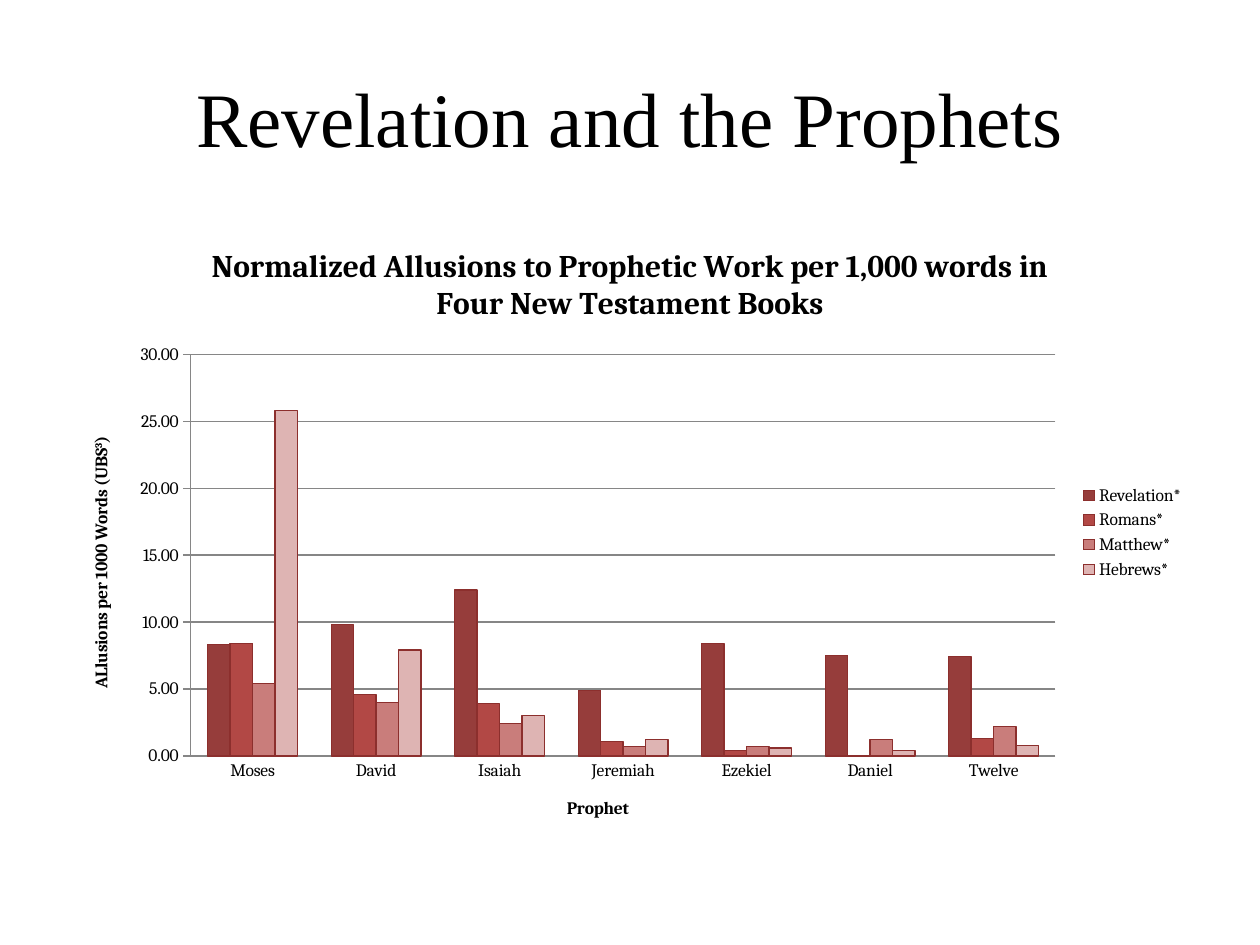
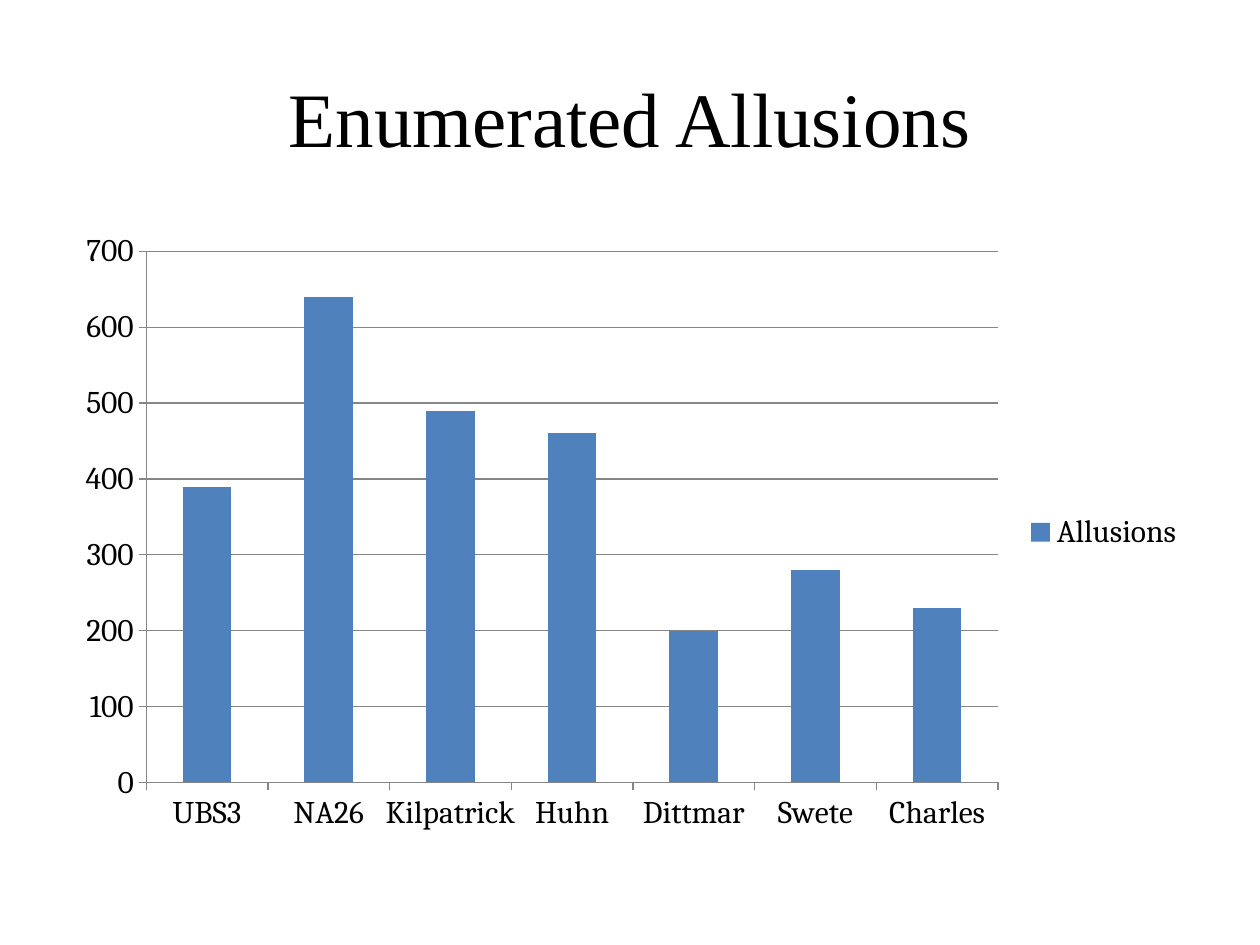
from pptx import Presentation
from pptx.chart.data import CategoryChartData
from pptx.dml.color import RGBColor
from pptx.enum.chart import XL_CHART_TYPE, XL_LEGEND_POSITION, XL_TICK_MARK
from pptx.enum.text import MSO_ANCHOR, PP_ALIGN
from pptx.util import Inches, Pt

CLUSTERED = XL_CHART_TYPE.COLUMN_CLUSTERED
RIGHT = XL_LEGEND_POSITION.RIGHT
NO_TICK, TICK_OUT = XL_TICK_MARK.NONE, XL_TICK_MARK.OUTSIDE
MIDDLE, CENTER = MSO_ANCHOR.MIDDLE, PP_ALIGN.CENTER

BLACK = RGBColor(0x00, 0x00, 0x00)
AXIS_GRAY = RGBColor(0x86, 0x86, 0x86)
BLUE = RGBColor(0x4F, 0x81, 0xBD)
EDGE_RED = RGBColor(0x8C, 0x2F, 0x2D)
REDS = [RGBColor(0x96, 0x3D, 0x3B), RGBColor(0xB2, 0x48, 0x45),
        RGBColor(0xC9, 0x7D, 0x7B), RGBColor(0xDE, 0xB4, 0xB3)]
HEADING_FONT, CHART_FONT = "Times New Roman", "Cambria"

WIDTH, HEIGHT = Inches(10), Inches(7.5)
MARGIN = int(WIDTH * 0.05)
CONTENT_WIDTH = WIDTH - 2 * MARGIN

CHART_SLIDES = [
    dict(heading="Revelation and the Prophets",
         chart_title="Normalized Allusions to Prophetic Work per 1,000 words in "
                     "Four New Testament Books",
         category_title=["Prophet"],
         value_title=["ALlusions per 1000 Words (UBS", "3", ")"],
         categories=["Moses", "David", "Isaiah", "Jeremiah", "Ezekiel", "Daniel", "Twelve"],
         series={"Revelation*": [8.3, 9.8, 12.4, 4.9, 8.4, 7.5, 7.4],
                 "Romans*": [8.4, 4.6, 3.9, 1.1, 0.4, 0, 1.3],
                 "Matthew*": [5.4, 4, 2.4, 0.7, 0.7, 1.2, 2.2],
                 "Hebrews*": [25.8, 7.9, 3, 1.2, 0.6, 0.4, 0.8]},
         colors=REDS, edge=EDGE_RED, size=10, top=30, step=5,
         number_format="0.00", tick=NO_TICK),
    dict(heading="Enumerated Allusions",
         chart_title=None, category_title=None, value_title=None,
         categories=["UBS3", "NA26", "Kilpatrick", "Huhn", "Dittmar", "Swete", "Charles"],
         series={"Allusions": [390, 640, 490, 460, 200, 280, 230]},
         colors=[BLUE], edge=None, size=18, top=700, step=100,
         number_format="General", tick=TICK_OUT),
]


def write_title(title, parts, size):
    """Write a bold chart or axis title; every second part is superscript."""
    paragraph = title.text_frame.paragraphs[0]
    for index, part in enumerate(parts):
        run = paragraph.add_run()
        run.text = part
        run.font.name, run.font.size, run.font.bold = CHART_FONT, Pt(size), True
        run.font.color.rgb = BLACK
        if index % 2:
            run.font._element.set("baseline", "30000")


prs = Presentation()
prs.slide_width, prs.slide_height = WIDTH, HEIGHT
blank = prs.slide_layouts[6]

for content in CHART_SLIDES:
    slide = prs.slides.add_slide(blank)

    heading = slide.shapes.add_textbox(
        MARGIN, int(HEIGHT * 0.04), CONTENT_WIDTH, Inches(1.25)).text_frame
    heading.word_wrap = True
    heading.vertical_anchor = MIDDLE
    heading.paragraphs[0].alignment = CENTER
    run = heading.paragraphs[0].add_run()
    run.text = content["heading"]
    run.font.name, run.font.size = HEADING_FONT, Pt(44)
    run.font.color.rgb = BLACK

    data = CategoryChartData(number_format=content["number_format"])
    data.categories = content["categories"]
    for name, values in content["series"].items():
        data.add_series(name, values)
    chart = slide.shapes.add_chart(
        CLUSTERED, MARGIN, Inches(1.75), CONTENT_WIDTH, int(HEIGHT * 0.66), data).chart
    chart.font.name, chart.font.size = CHART_FONT, Pt(content["size"])
    chart.font.color.rgb = BLACK

    chart.has_title = content["chart_title"] is not None
    if chart.has_title:
        write_title(chart.chart_title, [content["chart_title"]], 18)
        chart.chart_title.include_in_layout = False
    chart.has_legend = True
    chart.legend.position = RIGHT
    chart.legend.include_in_layout = False

    bars = chart.plots[0]
    bars.gap_width, bars.overlap = 150, 0
    bars.vary_by_categories = False
    for series, color in zip(bars.series, content["colors"]):
        series.invert_if_negative = False
        series.format.fill.solid()
        series.format.fill.fore_color.rgb = color
        if content["edge"]:
            series.format.line.color.rgb = content["edge"]
            series.format.line.width = Pt(0.75)

    categories, values = chart.category_axis, chart.value_axis
    categories.major_tick_mark, values.major_tick_mark = content["tick"], TICK_OUT
    values.minimum_scale, values.maximum_scale = 0, content["top"]
    values.major_unit = content["step"]
    values.has_major_gridlines = True
    values.tick_labels.number_format = content["number_format"]
    values.tick_labels.number_format_is_linked = False
    for lines in (categories, values, values.major_gridlines):
        lines.format.line.color.rgb = AXIS_GRAY
        lines.format.line.width = Pt(0.75)
    for axis, parts in ((categories, content["category_title"]),
                        (values, content["value_title"])):
        axis.minor_tick_mark = NO_TICK
        if parts:
            write_title(axis.axis_title, parts, content["size"])

prs.save("out.pptx")
